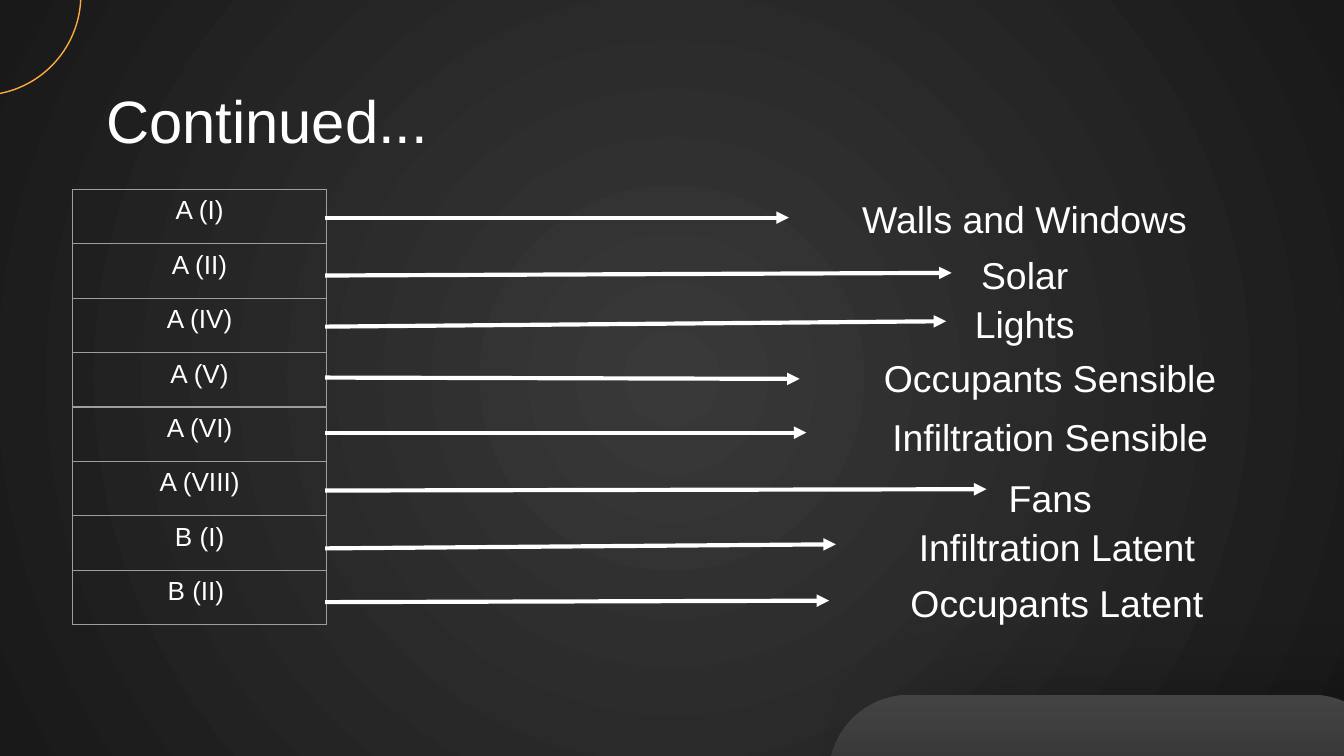
import dataclasses

import pptx
import pptx.dml.color
import pptx.enum.shapes
import pptx.enum.text
import pptx.oxml
import pptx.oxml.ns
import pptx.util
from lxml import etree

Pt = pptx.util.Pt
Rgb = pptx.dml.color.RGBColor.from_string
Kind = pptx.enum.shapes.MSO_SHAPE
Align = pptx.enum.text.PP_ALIGN
qn = pptx.oxml.ns.qn
SPACE = pptx.oxml.ns.nsdecls("a")


@dataclasses.dataclass(frozen=True)
class Theme:
    """Holds colours, font and type sizes."""
    font: str = "Arial"
    ink: str = "FFFFFF"
    grid: str = "9E9E9E"
    accent: str = "FFAB40"
    shade: str = "000000"
    back: tuple = ("393939", "191919")
    panel: tuple = ("434343", "232323")
    title: int = 32
    label: int = 20
    code: int = 14
    thin: float = 0.75
    thick: float = 2.25


def xml(text):
    """Parse a drawing fragment."""
    return pptx.oxml.parse_xml(text.replace(">", f" {SPACE}>", 1))


def apply(target, values):
    """Set each named value on the target."""
    for name, value in values.items():
        setattr(target, name, value)


class Painter:
    """Draws elements on the current slide in one style."""

    def __init__(self, slide, theme):
        """Keep the slide and its style."""
        self.slide, self.theme = slide, theme

    def blend(self, fill, colors):
        """Turn a fill into a two-stop gradient."""
        fill.gradient()
        for stop, color in zip(fill.gradient_stops, colors):
            stop.color.rgb = Rgb(color)

    def backdrop(self):
        """Fill the slide with a radial gradient."""
        self.blend(self.slide.background.fill, self.theme.back)
        grad = self.slide.element.find(".//" + qn("a:gradFill"))
        radial = xml('<a:path path="circle"><a:fillToRect l="50000" t="50000" '
                     'r="50000" b="50000"/></a:path>')
        grad.replace(grad.find(qn("a:lin")), radial)

    def shape(self, kind, box):
        """Add a preset shape without a shadow."""
        shape = self.slide.shapes.add_shape(kind, *map(Pt, box))
        shape.shadow.inherit = False
        return shape

    def panel(self, box):
        """Add the rounded corner panel with a soft shadow."""
        shape = self.shape(Kind.ROUNDED_RECTANGLE, box)
        shape.adjustments[0] = 0.43
        self.blend(shape.fill, self.theme.panel)
        shape.fill.gradient_angle = 270
        shape.line.fill.background()
        shape.element.spPr.find(qn("a:effectLst")).append(xml(
            f'<a:outerShdw blurRad="{Pt(50)}" dist="{Pt(39.4)}" dir="672000" '
            f'algn="bl" rotWithShape="0"><a:srgbClr val="{self.theme.shade}">'
            '<a:alpha val="40000"/></a:srgbClr></a:outerShdw>'))

    def ring(self, box):
        """Add the outlined corner circle."""
        shape = self.shape(Kind.OVAL, box)
        shape.fill.background()
        shape.line.color.rgb = Rgb(self.theme.accent)
        shape.line.width = Pt(self.theme.thin)

    def fill(self, frame, text, size, align, **extra):
        """Put one styled paragraph in a text frame."""
        para = frame.paragraphs[0]
        para.text = text
        apply(para, {"alignment": align, **extra})
        apply(para.font, {"name": self.theme.font, "size": Pt(size)})
        para.font.color.rgb = Rgb(self.theme.ink)

    def text(self, text, box, size, align):
        """Add a text box without margins."""
        frame = self.slide.shapes.add_textbox(*map(Pt, box)).text_frame
        apply(frame, {"word_wrap": True, "margin_left": 0, "margin_top": 0,
                      "margin_right": 0, "margin_bottom": 0})
        self.fill(frame, text, size, align, line_spacing=1.07)

    def table(self, codes, box):
        """Add a bordered one-column table."""
        frame = self.slide.shapes.add_table(len(codes), 1, *map(Pt, box))
        grid = frame.table
        apply(grid, {"first_row": False, "horz_banding": False})
        for row, code in enumerate(codes):
            grid.rows[row].height = Pt(box[3] / len(codes))
            cell = grid.cell(row, 0)
            cell.fill.background()
            self.fill(cell.text_frame, code, self.theme.code, Align.CENTER)
        for props in frame.element.iter(qn("a:tcPr")):
            for spot, side in enumerate("LRTB"):
                props.insert(spot, xml(
                    f'<a:ln{side} w="{Pt(self.theme.thin)}"><a:solidFill>'
                    f'<a:srgbClr val="{self.theme.grid}"/></a:solidFill></a:ln{side}>'))

    def arrow(self, start, end):
        """Add a straight arrow."""
        link = self.slide.shapes.add_connector(
            pptx.enum.shapes.MSO_CONNECTOR.STRAIGHT, *map(Pt, start + end))
        link.line.color.rgb = Rgb(self.theme.ink)
        link.line.width = Pt(self.theme.thick)
        props = link.element.spPr
        etree.SubElement(props.find(qn("a:ln")), qn("a:tailEnd"), type="triangle")
        etree.SubElement(props, qn("a:effectLst"))


ROWS = [
    ("A (I)", "Walls and Windows", (395.3, 103.7), 116.6, (422.6, 116.6)),
    ("A (II)", "Solar", (395.3, 133.2), 147.6, (509.8, 146.2)),
    ("A (IV)", "Lights", (395.3, 159.8), 175, (506.9, 172.1)),
    ("A (V)", "Occupants Sensible", (409, 188.6), 202.3, (428.4, 203)),
    ("A (VI)", "Infiltration Sensible", (409, 220.3), 231.8, (432, 231.8)),
    ("A (VIII)", "Fans", (409, 252.7), 262.8, (528.5, 262.1)),
    ("B (I)", "Infiltration Latent", (412.6, 279.4), 293.8, (447.8, 291.6)),
    ("B (II) ", "Occupants Latent", (412.6, 308.9), 322.6, (444.2, 321.8)),
]


def main():
    """Build and save the slide."""
    deck = pptx.Presentation()
    apply(deck, {"slide_width": Pt(720), "slide_height": Pt(405)})
    theme = Theme()
    pen = Painter(deck.slides.add_slide(deck.slide_layouts[6]), theme)
    pen.backdrop()
    pen.panel((444.2, 372.2, 301.7, 100))
    pen.ring((-64, -56.2, 107.3, 107.3))
    pen.text("Continued...", (56.9, 42.5, 607, 40.3), theme.title, Align.LEFT)
    pen.table([row[0] for row in ROWS], (38.9, 101.5, 136.1, 233.3))
    for code, label, spot, start, tip in ROWS:
        pen.arrow((174.2, start), tip)
        pen.text(label, spot + (307.4, 40.3), theme.label, Align.CENTER)
    deck.save("out.pptx")


if __name__ == "__main__":
    main()
